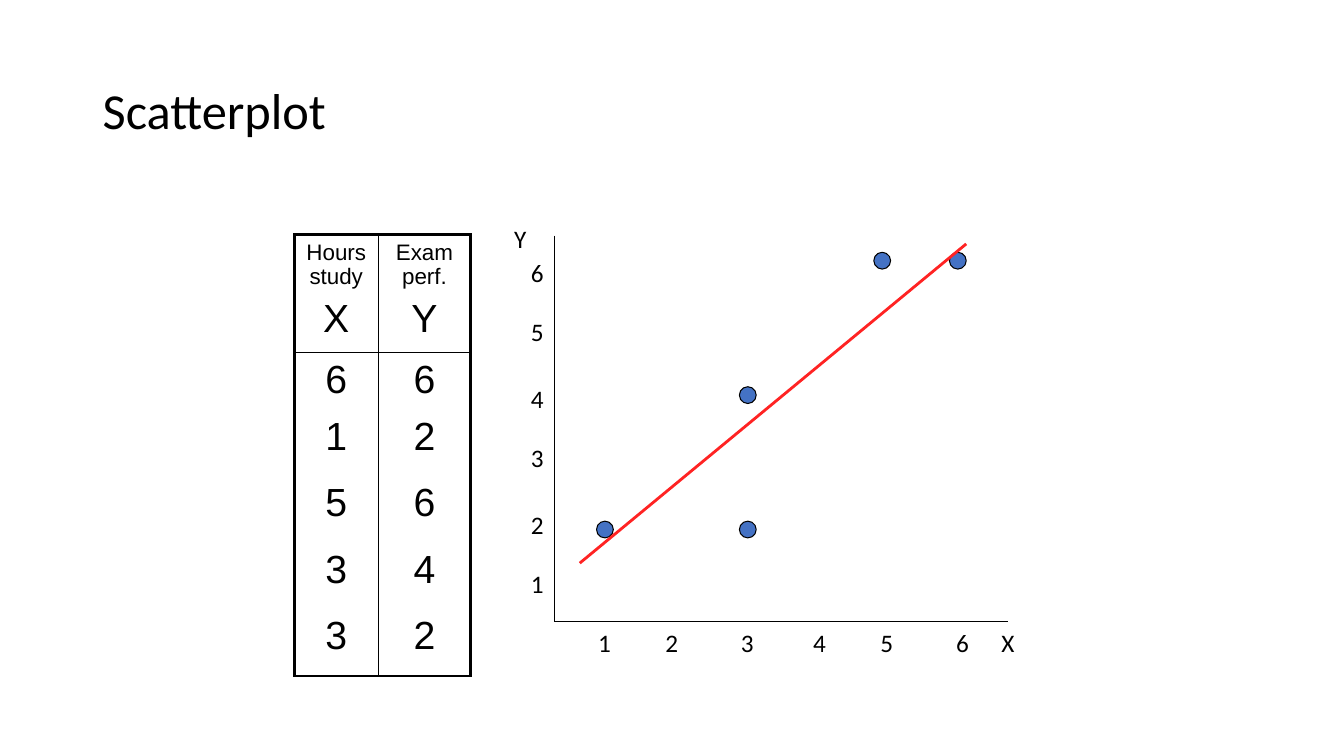
from lxml.etree import SubElement
from pptx import Presentation
from pptx.dml.color import RGBColor
from pptx.enum.shapes import MSO_CONNECTOR, MSO_SHAPE
from pptx.enum.text import MSO_ANCHOR, PP_ALIGN
from pptx.oxml.ns import qn
from pptx.util import Inches, Pt

BLACK = RGBColor(0x00, 0x00, 0x00)
BLUE = RGBColor(0x44, 0x72, 0xC4)
RED = RGBColor(0xFF, 0x23, 0x23)

GRID = Inches(1) // 12  # grid step of the plot
THICK, THIN = 2.25, 1

SCORES = [(6, 6), (1, 2), (5, 6), (3, 4), (3, 2)]
HEADINGS = [("Hours study", "X"), ("Exam perf.", "Y")]

# Grid columns and rows of the hand-placed tick labels and dots
HOUR_TICKS = [10, 18, 27, 35.6, 43.6, 52.6]
EXAM_TICKS = [41, 34, 26, 19, 11, 4]
HOUR_DOTS = {1: 11, 3: 28, 5: 44, 6: 53}
EXAM_DOTS = {2: 36, 4: 20, 6: 4}


def style_paragraph(paragraph, text, size, font):
    paragraph.text = text
    for run in paragraph.runs:
        run.font.size = Pt(size)
        run.font.name = font
        run.font.color.rgb = BLACK


def add_title(slide, left, top, width, height):
    frame = slide.shapes.add_textbox(left, top, width, height).text_frame
    frame.word_wrap = True
    frame.vertical_anchor = MSO_ANCHOR.MIDDLE
    style_paragraph(frame.paragraphs[0], "Scatterplot", 36, "Calibri")
    frame.paragraphs[0].line_spacing = 0.9


def set_borders(cell, widths):
    """Draw the left, right, top and bottom borders; a width of 0 hides one."""
    properties = cell._tc.get_or_add_tcPr()
    for position, (side, width) in enumerate(zip(("lnL", "lnR", "lnT", "lnB"), widths)):
        border = SubElement(properties, qn(f"a:{side}"), w=str(Pt(width)))
        properties.remove(border)
        properties.insert(position, border)
        if width:
            fill = SubElement(border, qn("a:solidFill"))
            SubElement(fill, qn("a:srgbClr"), val=str(BLACK))
        else:
            SubElement(border, qn("a:noFill"))


def add_score_table(slide, left, top, width, height):
    rows = [HEADINGS] + [[(str(score),) for score in pair] for pair in SCORES]
    table = slide.shapes.add_table(len(rows), 2, left, top, width, height).table
    table.first_row = table.horz_banding = False
    table.columns[0].width = Inches(0.83)
    table.columns[1].width = width - Inches(0.83)
    for row, row_height in zip(table.rows, [1.1, 0.53] + [0.66] * 4):
        row.height = Inches(row_height)

    for row_index, entries in enumerate(rows):
        top_border = {0: THICK, 1: THIN}.get(row_index, 0)
        bottom_border = THIN if row_index in (0, len(rows) - 1) else 0
        for column, lines in enumerate(entries):
            cell = table.cell(row_index, column)
            cell.fill.background()
            frame = cell.text_frame
            frame.text = "\n".join(lines)
            for paragraph, line in zip(frame.paragraphs, lines):
                style_paragraph(paragraph, line, 16 if len(line) > 1 else 28, "Arial")
                paragraph.alignment = PP_ALIGN.CENTER
            if len(lines) > 1:
                frame.paragraphs[1].space_before = Pt(5)
            sides = (THICK, THIN) if column == 0 else (THIN, THICK)
            set_borders(cell, (*sides, top_border, bottom_border))


def add_scatterplot(slide, left, top):
    def at(column, row):
        return left + round(column * GRID), top + round(row * GRID)

    def add_line(shapes, start, end, color, width):
        line = shapes.add_connector(MSO_CONNECTOR.STRAIGHT, *at(*start), *at(*end))
        line.line.color.rgb = color
        line.line.width = Pt(width)
        SubElement(line._element.spPr, qn("a:effectLst"))

    axes = slide.shapes.add_group_shape().shapes
    origin = (6, 48)
    for axis_start, axis_end in (((6, 2), origin), (origin, (60, 48))):
        add_line(axes, axis_start, axis_end, BLACK, 0.75)

    labels = [("Y", 0, 0), ("X", 58, 48)]
    labels += [(str(n), 2, row) for n, row in enumerate(EXAM_TICKS, 1)]
    labels += [(str(n), column, 48) for n, column in enumerate(HOUR_TICKS, 1)]
    for text, column, row in labels:
        frame = axes.add_textbox(*at(column, row), 4 * GRID, Inches(0.4)).text_frame
        frame.word_wrap = False
        style_paragraph(frame.paragraphs[0], text, 18, "Calibri")

    for hours, exam in SCORES:
        dot = slide.shapes.add_shape(
            MSO_SHAPE.OVAL, *at(HOUR_DOTS[hours], EXAM_DOTS[exam]), 2 * GRID, 2 * GRID)
        dot.shadow.inherit = False
        dot.fill.solid()
        dot.fill.fore_color.rgb = BLUE
        dot.line.color.rgb = BLACK
        dot.line.width = Pt(0.75)

    add_line(slide.shapes, (9, 41), (55, 3), RED, 2)


def main():
    deck = Presentation()
    deck.slide_width, deck.slide_height = Inches(13.33), Inches(7.5)
    slide = deck.slides.add_slide(deck.slide_layouts[6])
    add_title(slide, Inches(0.92), Inches(0.4), Inches(11.5), Inches(1.45))
    add_score_table(slide, Inches(2.92), Inches(2.33), Inches(1.75), Inches(4.27))
    add_scatterplot(slide, Inches(5), Inches(2.17))
    deck.save("out.pptx")


if __name__ == "__main__":
    main()
